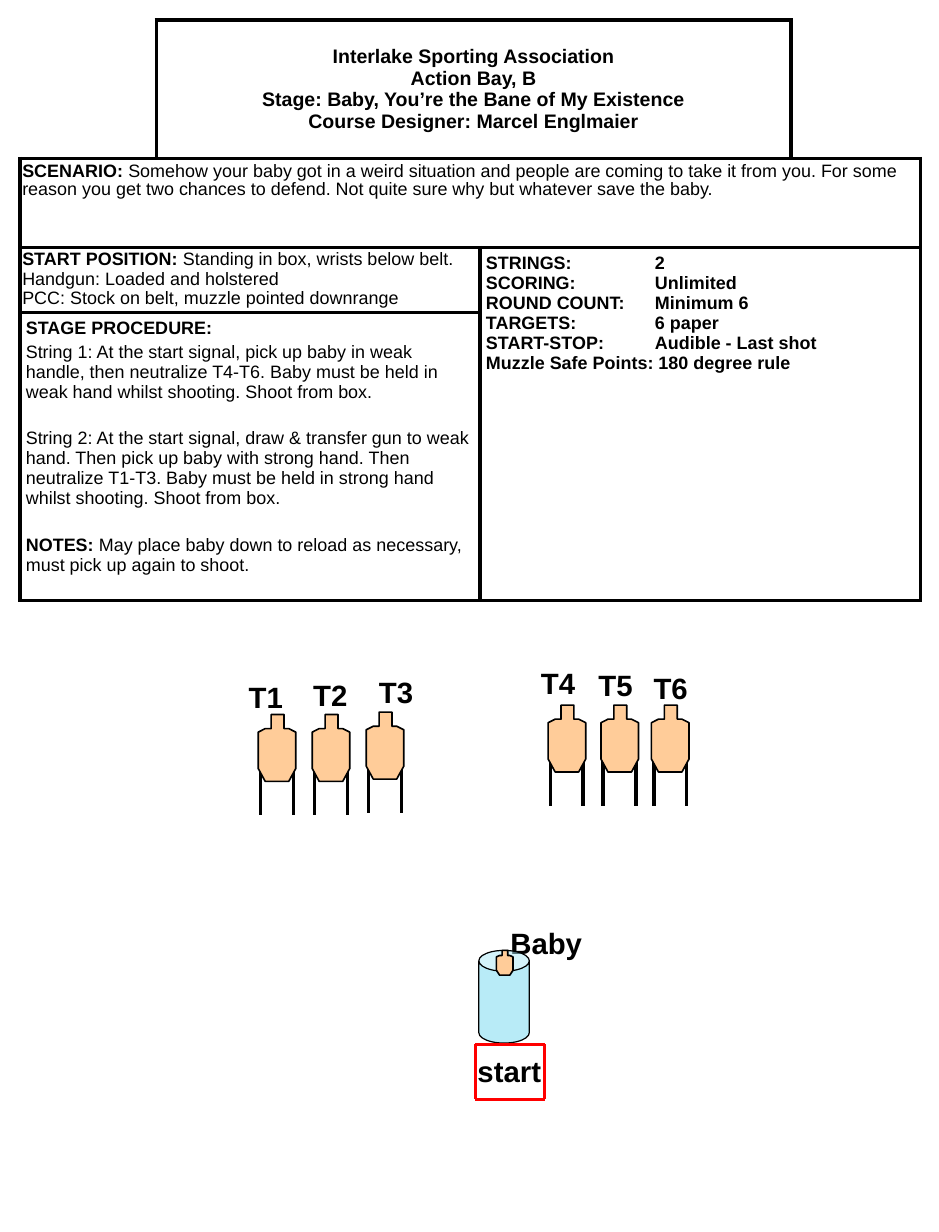
from lxml import etree
from pptx import Presentation
from pptx.dml.color import RGBColor
from pptx.enum import shapes, text
from pptx.oxml import ns
from pptx.util import Inches, Pt

COLORS = {"black": "000000", "white": "FFFFFF", "red": "FF0000",
          "tan": "FFCC99", "water": "73D9F1"}

COLUMNS = [1.16, 2.76, 2.65, 1.1]
ROWS = [1.18, 0.76, 0.55, 2.46]

HEADER = ["Interlake Sporting Association\nAction Bay, B\n"
          "Stage: Baby, You’re the Bane of My Existence\n"
          "Course Designer: Marcel Englmaier"]
# A paragraph is plain text or a (bold lead, plain rest) pair.
SCENARIO = [("SCENARIO: ", "Somehow your baby got in a weird situation and people are "
             "coming to take it from you. For some reason you get two chances to defend. "
             "Not quite sure why but whatever save the baby.")]
START = [("START POSITION: ", "Standing in box, wrists below belt."),
         "Handgun: Loaded and holstered",
         "PCC: Stock on belt, muzzle pointed downrange"]
FACTS = ["STRINGS:\t2", "SCORING:\tUnlimited", "ROUND COUNT:\tMinimum 6",
         "TARGETS:\t6 paper", "START-STOP:\tAudible - Last shot",
         "Muzzle Safe Points: 180 degree rule"]
PROCEDURE = [
    ("STAGE PROCEDURE:", ""),
    "String 1: At the start signal, pick up baby in weak handle, then neutralize T4-T6. "
    "Baby must be held in weak hand whilst shooting. Shoot from box.",
    "String 2: At the start signal, draw & transfer gun to weak hand. Then pick up baby "
    "with strong hand. Then neutralize T1-T3. Baby must be held in strong hand whilst "
    "shooting. Shoot from box.",
    ("NOTES: ", "May place baby down to reload as necessary, must pick up again to shoot.")]

# label, label left, label top, target left, target top
TARGETS = [("T1", 2.02, 5.74, 2.2, 6.09), ("T2", 2.57, 5.72, 2.66, 6.09),
           ("T3", 3.13, 5.7, 3.12, 6.07), ("T4", 4.51, 5.62, 4.67, 6.01),
           ("T5", 5, 5.64, 5.12, 6.01), ("T6", 5.47, 5.66, 5.55, 6.01)]
SILHOUETTE = [(0.11, 0), (0.22, 0), (0.22, 0.12), (0.26, 0.12), (0.32, 0.15),
              (0.32, 0.46), (0.26, 0.57), (0.06, 0.57), (0, 0.46), (0, 0.15),
              (0.06, 0.12), (0.11, 0.12)]


def rgb(name):
    return RGBColor.from_string(COLORS[name])


def write(tf, paragraphs, size=11, bold=False, align=None, line=None, gaps=(), tab=None):
    """Fill a text frame; gaps are the points before each paragraph after the first."""
    for i, content in enumerate(paragraphs):
        p = tf.add_paragraph() if i else tf.paragraphs[0]
        if tab:
            tabs = etree.SubElement(p._p.get_or_add_pPr(), ns.qn("a:tabLst"))
            etree.SubElement(tabs, ns.qn("a:tab"), pos=str(Inches(tab)), algn="l")
        p.alignment = align
        p.line_spacing = line
        if i and gaps:
            p.space_before = Pt(gaps[i - 1])
        parts = [(content, bold)] if isinstance(content, str) else zip(content, (True, False))
        for words, heavy in parts:
            for j, piece in enumerate(words.split("\n")):
                if j:
                    p.add_line_break()
                if piece:
                    r = p.add_run()
                    r.text = piece
                    r.font.name, r.font.size, r.font.bold = "Arial", Pt(size), heavy
                    r.font.color.rgb = rgb("black")


def set_borders(cell, sides):
    tc_pr = cell._tc.get_or_add_tcPr()
    for side in "LRTB":
        ln = etree.SubElement(tc_pr, ns.qn(f"a:ln{side}"), w=str(Pt(2.25)))
        if side in sides:
            fill = etree.SubElement(ln, ns.qn("a:solidFill"))
            etree.SubElement(fill, ns.qn("a:srgbClr"), val=COLORS["black"])
        else:
            etree.SubElement(ln, ns.qn("a:noFill"))


def fill_cell(table, first, last, paragraphs, insets=(0.05, 0.05), **fmt):
    """Merge first to last, then write into it."""
    cell = table.cell(*first)
    cell.merge(table.cell(*last))
    cell.margin_left = cell.margin_right = Inches(insets[0])
    cell.margin_top = cell.margin_bottom = Inches(insets[1])
    write(cell.text_frame, paragraphs, **fmt)
    return cell


def add_briefing(s):
    table = s.shapes.add_table(len(ROWS), len(COLUMNS), Inches(0.17), Inches(0.17),
                               Inches(sum(COLUMNS)), Inches(sum(ROWS))).table
    table.first_row = table.horz_banding = False
    for column, width in zip(table.columns, COLUMNS):
        column.width = Inches(width)
    for row, height in zip(table.rows, ROWS):
        row.height = Inches(height)
    open_corners = {(0, 0): "RB", (0, 3): "LB"}
    for r in range(len(ROWS)):
        for c in range(len(COLUMNS)):
            cell = table.cell(r, c)
            set_borders(cell, open_corners.get((r, c), "LRTB"))
            cell.fill.solid()
            cell.fill.fore_color.rgb = rgb("white")
    header = fill_cell(table, (0, 1), (0, 2), HEADER, size=12, bold=True,
                       align=text.PP_ALIGN.CENTER)
    header.vertical_anchor = text.MSO_ANCHOR.MIDDLE
    fill_cell(table, (1, 0), (1, 3), SCENARIO, (0.02, 0.04), line=0.9)
    fill_cell(table, (2, 0), (2, 1), START, (0.02, 0.03), line=0.9, gaps=(1.1, 1.1))
    fill_cell(table, (2, 2), (3, 3), FACTS, bold=True, tab=1.44)
    fill_cell(table, (3, 0), (3, 1), PROCEDURE, gaps=(2.4, 16.5, 16.5))


def add_label(parent, words, x, y, w=0.58):
    box = parent.shapes.add_textbox(Inches(x), Inches(y), Inches(w), Inches(0.4))
    box.text_frame.word_wrap = True
    write(box.text_frame, [words], size=18, bold=True)


def add_line(parent, x1, y1, x2, y2, color="black", width=2.25):
    line = parent.shapes.add_connector(shapes.MSO_CONNECTOR.STRAIGHT, Inches(x1),
                                       Inches(y1), Inches(x2), Inches(y2))
    line.line.color.rgb = rgb(color)
    line.line.width = Pt(width)
    etree.SubElement(line._element.spPr, ns.qn("a:effectLst"))


def paint(shape, fill, width):
    shape.shadow.inherit = False
    shape.fill.solid()
    shape.fill.fore_color.rgb = rgb(fill)
    shape.line.color.rgb = rgb("black")
    shape.line.width = Pt(width)


def add_silhouette(parent, x, y, sx=1, sy=1):
    points = [(Inches(x + px * sx), Inches(y + py * sy)) for px, py in SILHOUETTE]
    builder = parent.shapes.build_freeform(*points[0])
    builder.add_line_segments(points[1:], close=True)
    paint(builder.convert_to_shape(), "tan", 1)


def add_target(s, x, y):
    group = s.shapes.add_group_shape()
    for leg in (x + 0.02, x + 0.3):
        add_line(group, leg, y + 0.42, leg, y + 0.86)
    add_silhouette(group, x, y)


def add_barrel(s):
    can = s.shapes.add_shape(shapes.MSO_SHAPE.CAN, Inches(4.08), Inches(8.1),
                             Inches(0.43), Inches(0.79))
    can.adjustments[0] = 0.413
    paint(can, "water", 0.75)
    color = can._element.spPr.find(ns.qn("a:solidFill"))[0]
    etree.SubElement(color, ns.qn("a:alpha"), val="50000")


def add_start_box(s):
    group = s.shapes.add_group_shape()
    left, right, top, bottom = 4.05, 4.64, 8.9, 9.37
    for y in (top, bottom):
        add_line(group, right, y, left, y, "red", 2)
    for x in (left, right):
        add_line(group, x, top, x, bottom, "red", 2)
    add_label(group, "start", 3.97, 8.93, 0.86)


def main():
    prs = Presentation()
    prs.slide_width, prs.slide_height = Inches(8), Inches(10.5)
    s = prs.slides.add_slide(prs.slide_layouts[6])
    add_briefing(s)
    add_label(s, "Baby", 4.25, 7.84, 0.83)
    for name, label_x, label_y, x, y in TARGETS:
        add_label(s, name, label_x, label_y)
        add_target(s, x, y)
    add_barrel(s)
    add_silhouette(s, 4.23, 8.1, 0.44, 0.37)
    add_start_box(s)
    prs.save("out.pptx")


if __name__ == "__main__":
    main()
